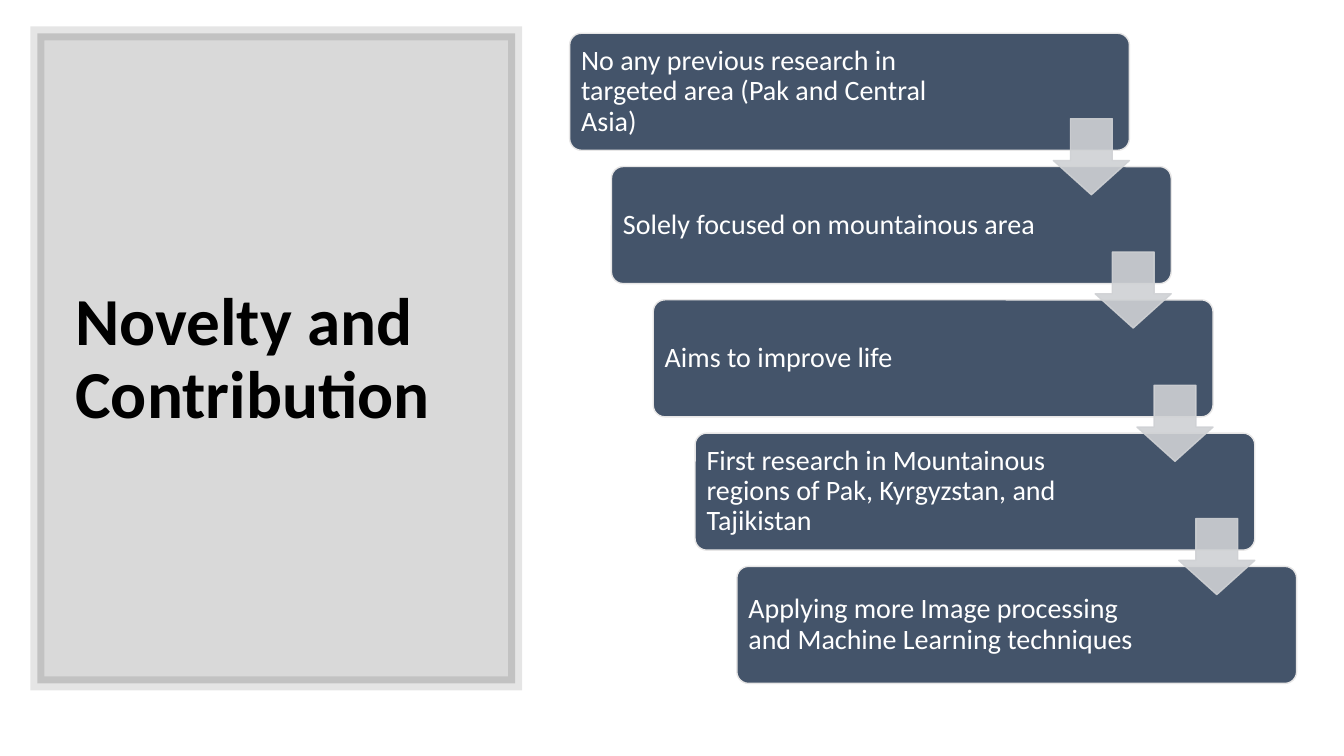
from lxml import etree
from pptx import Presentation
from pptx.dml.color import RGBColor
from pptx.enum.shapes import MSO_SHAPE
from pptx.enum.text import MSO_ANCHOR, PP_ALIGN
from pptx.oxml.ns import qn
from pptx.util import Inches, Pt

RECT, ROUND_RECT = MSO_SHAPE.RECTANGLE, MSO_SHAPE.ROUNDED_RECTANGLE
DOWN_ARROW = MSO_SHAPE.DOWN_ARROW
MIDDLE, LEFT = MSO_ANCHOR.MIDDLE, PP_ALIGN.LEFT

BLACK = RGBColor(0x00, 0x00, 0x00)
WHITE = RGBColor(0xFF, 0xFF, 0xFF)
SLATE = RGBColor(0x44, 0x54, 0x6A)
PALE_GREY = RGBColor(0xE7, 0xE6, 0xE6)
ARROW_GREY = RGBColor(0xCF, 0xD1, 0xD4)

FONT = "Calibri"
SLIDE_W, SLIDE_H = 13.33, 7.5
TITLE_BOX = (0.37, 0.33, 4.74, 6.45)
STAIRS_BOX = (5.65, 0.33, 7.21, 6.45)

# Each step: its text and the room kept free on the right for the arrows
STEPS = [
    ("No any previous research in targeted area (Pak and Central Asia)", 1.41),
    ("Solely focused on mountainous area", 1.25),
    ("Aims to improve life", 1.25),
    ("First research in Mountainous regions of Pak, Kyrgyzstan, and Tajikistan", 1.25),
    ("Applying more Image processing and Machine Learning techniques", 1.25),
]


def set_alpha(color_format, percent):
    """Make a solid fill partly transparent."""
    color = color_format._xPr.find(qn("a:solidFill"))[0]
    etree.SubElement(color, qn("a:alpha")).set("val", str(percent * 1000))


def add_block(slide, kind, box, fill, line, line_width, fill_alpha=100, line_alpha=100):
    block = slide.shapes.add_shape(kind, *map(Inches, box))
    block.shadow.inherit = False
    block.fill.solid()
    block.fill.fore_color.rgb = fill
    block.line.color.rgb = line
    block.line.width = Pt(line_width)
    if fill_alpha < 100:
        set_alpha(block.fill, fill_alpha)
    if line_alpha < 100:
        set_alpha(block.line.fill, line_alpha)
    return block


def write(frame, text, size, color, bold=False):
    frame.word_wrap = True
    frame.vertical_anchor = MIDDLE
    frame.text = text
    paragraph = frame.paragraphs[0]
    paragraph.alignment = LEFT
    paragraph.line_spacing = 0.9
    font = paragraph.runs[0].font
    font.name, font.size, font.bold = FONT, Pt(size), bold
    font.color.rgb = color


def add_title_panel(slide, box):
    left, top, width, height = box
    panel = add_block(slide, RECT, box, BLACK, BLACK, 10, 15, 10)
    # Square corners on the wide border
    etree.SubElement(panel.line._ln, qn("a:miter")).set("lim", "800000")
    title_box = (left + 0.28, top + 0.37, width - 0.58, height - 0.7)
    title = slide.shapes.add_textbox(*map(Inches, title_box))
    write(title.text_frame, "Novelty and Contribution", 48, BLACK, bold=True)


def add_staircase(slide, box, steps):
    left, top, width, height = box
    step_w, step_h = width * 0.77, height * 0.18
    shift_x = (width - step_w) / (len(steps) - 1)
    shift_y = (height - step_h) / (len(steps) - 1)
    arrow_size = step_h * 0.65

    # Steps
    for i, (text, free_right) in enumerate(steps):
        step_box = (left + i * shift_x, top + i * shift_y, step_w, step_h)
        step = add_block(slide, ROUND_RECT, step_box, SLATE, PALE_GREY, 1)
        step.adjustments[0] = 0.1
        frame = step.text_frame
        frame.margin_left = frame.margin_top = frame.margin_bottom = Inches(0.08)
        frame.margin_right = Inches(free_right)
        write(frame, text, 20, WHITE)

    # Arrows from each step down to the next
    for i in range(len(steps) - 1):
        arrow_box = (left + i * shift_x + step_w - arrow_size,
                     top + i * shift_y + step_h * 0.73, arrow_size, arrow_size)
        arrow = add_block(slide, DOWN_ARROW, arrow_box, ARROW_GREY, ARROW_GREY, 1, 90, 90)
        arrow.adjustments[0] = 0.55
        arrow.adjustments[1] = 0.45


def main():
    deck = Presentation()
    deck.slide_width, deck.slide_height = Inches(SLIDE_W), Inches(SLIDE_H)
    slide = deck.slides.add_slide(deck.slide_layouts[6])
    add_title_panel(slide, TITLE_BOX)
    add_staircase(slide, STAIRS_BOX, STEPS)
    deck.save("out.pptx")


if __name__ == "__main__":
    main()
